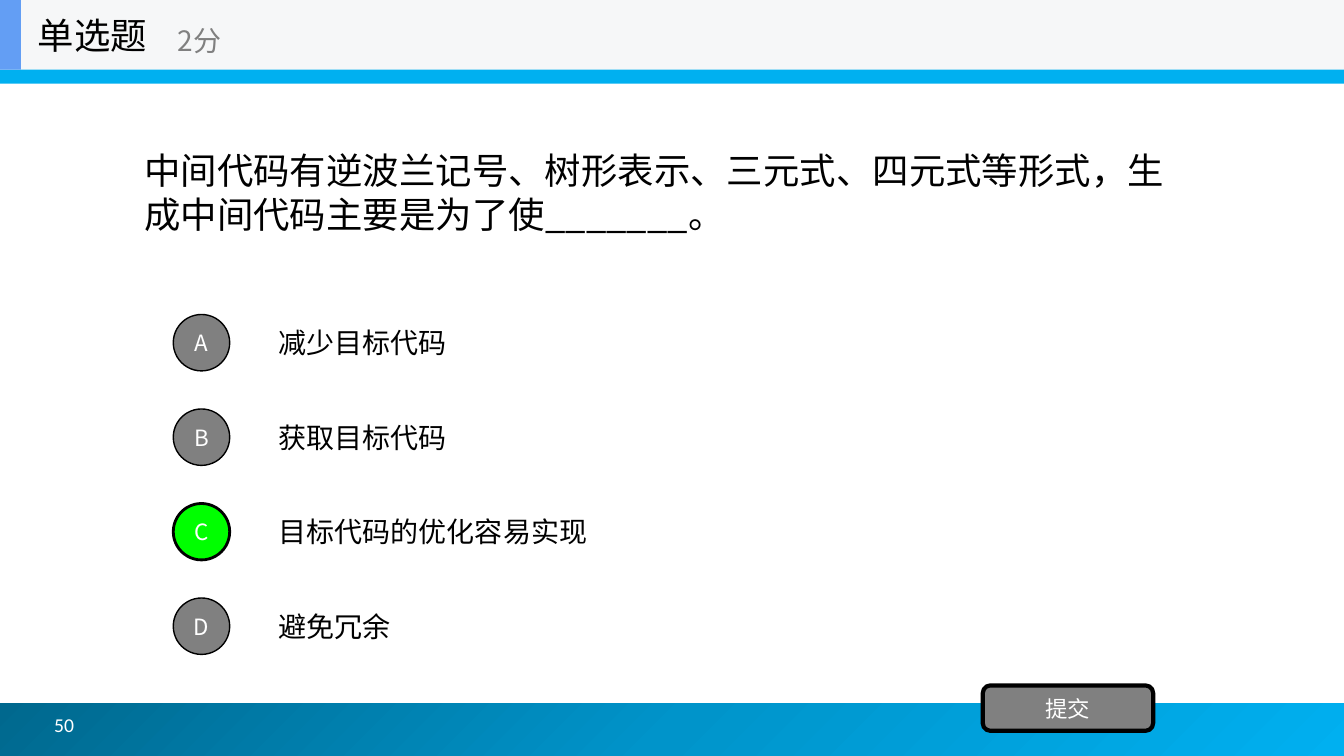
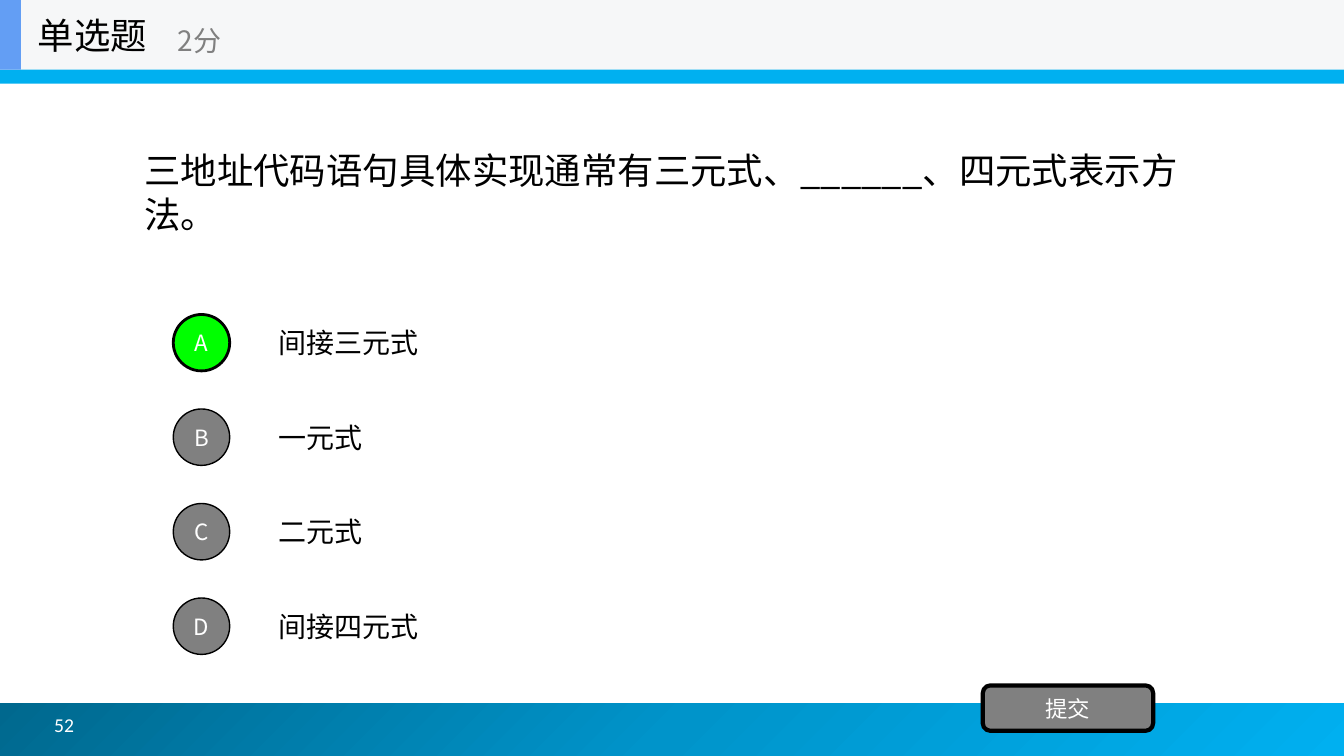
from collections import namedtuple
from copy import deepcopy
from dataclasses import dataclass

from pptx import Presentation
from pptx.dml.color import RGBColor
from pptx.enum.shapes import MSO_SHAPE
from pptx.enum.text import MSO_ANCHOR, PP_ALIGN
from pptx.oxml.ns import qn
from pptx.util import Pt

RECT, OVAL, ROUNDED = MSO_SHAPE.RECTANGLE, MSO_SHAPE.OVAL, MSO_SHAPE.ROUNDED_RECTANGLE
MIDDLE = MSO_ANCHOR.MIDDLE
LEFT, CENTER = PP_ALIGN.LEFT, PP_ALIGN.CENTER

Box = namedtuple("Box", "x y w h")


@dataclass(frozen=True)
class Theme:
    # Colours
    ink: str = "000000"
    white: str = "FFFFFF"
    grey: str = "808080"
    correct: str = "00FF00"
    header: str = "F6F7F8"
    accent: str = "639EF4"
    band: str = "00B0F0"
    footer: tuple = ((0, "00688E"), (0.5, "0094CA"), (1, "00B0F0"))
    # Fonts
    cjk: str = "Noto Sans CJK SC"
    option_font: str = "Arial"
    number_font: str = "Calibri"
    # Type sizes
    title: float = 26
    body: float = 20
    label: float = 16
    number: float = 14
    question_leading: float = 31.5


T = Theme()
SLIDE = Box(0, 0, 960, 540)
HEADER = Box(0, 0, 960, 49.7)
FOOTER = Box(0, 502.5, 960, 37.5)
QUESTION = Box(96, 52.7, 768, 168.5)
OPTIONS = Box(123.8, 219.6, 740.2, 252.9)
BUTTON = Box(702, 489.6, 121.7, 32.4)

QUESTIONS = [
    ("50", "中间代码有逆波兰记号、树形表示、三元式、四元式等形式，生成中间代码主要是为了使_______。",
     ["减少目标代码", "获取目标代码", "目标代码的优化容易实现", "避免冗余"], "C"),
    ("52", "三地址代码语句具体实现通常有三元式、______、四元式表示方法。",
     ["间接三元式", "一元式", "二元式", "间接四元式"], "A"),
]


def place(box):
    return [Pt(v) for v in box]


def write(sp, text, size, color, font=T.cjk, align=LEFT):
    """Fill a shape with one vertically centred paragraph."""
    tf = sp.text_frame
    tf.word_wrap = True
    tf.vertical_anchor = MIDDLE
    p = tf.paragraphs[0]
    p.text = text
    p.alignment = align
    p.font.size = Pt(size)
    p.font.color.rgb = RGBColor.from_string(color)
    p.font.name = font
    # East Asian typeface follows the Latin one
    latin = p._p.pPr.find(qn("a:defRPr")).find(qn("a:latin"))
    ea = latin.makeelement(qn("a:ea"), {"typeface": font})
    latin.addnext(ea)
    return p


def add_text(s, box, text, size, color, font=T.cjk):
    return write(s.shapes.add_textbox(*place(box)), text, size, color, font)


def add_shape(s, kind, box, fill=None, line=0):
    sp = s.shapes.add_shape(kind, *place(box))
    sp.shadow.inherit = False
    if fill:
        sp.fill.solid()
        sp.fill.fore_color.rgb = RGBColor.from_string(fill)
    if line:
        sp.line.color.rgb = RGBColor.from_string(T.ink)
        sp.line.width = Pt(line)
    else:
        sp.line.fill.background()
    return sp


def add_label(s, kind, box, text, fill, line):
    """Outlined shape with a centred white label."""
    sp = add_shape(s, kind, box, fill, line)
    tf = sp.text_frame
    tf.margin_left = tf.margin_right = tf.margin_top = tf.margin_bottom = 0
    write(sp, text, T.label, T.white, align=CENTER)


def add_footer(s, box, number):
    sp = add_shape(s, RECT, box)
    sp.fill.gradient()
    sp.fill.gradient_angle = 315
    # The default gradient has two stops; add a third
    first = sp.fill.gradient_stops[0]._gs
    first.addnext(deepcopy(first))
    for stop, (position, color) in zip(sp.fill.gradient_stops, T.footer):
        stop.position = position
        stop.color.rgb = RGBColor.from_string(color)
    add_text(s, Box(box.x + 31.7, box.y - 2.8, 208, 36), number,
             T.number, T.white, T.number_font)


def add_header(s, box):
    add_shape(s, RECT, Box(box.x, box.y + 1.5, box.w, box.h + 8.6), T.band)
    add_shape(s, RECT, box, T.header)
    add_shape(s, RECT, box._replace(w=15), T.accent)
    add_text(s, Box(box.x + 20, box.y, 150, box.h), "单选题", T.title, T.ink)
    add_text(s, Box(box.x + 120, box.y + 8.6, 180, 40.3), "2分", T.body, T.grey)


def add_options(s, box, options, answer):
    row_h, circle, text_x = 50.4, 40.3, 68.2
    pitch = (box.h - row_h) / (len(options) - 1)
    for i, (letter, text) in enumerate(zip("ABCD", options)):
        y = box.y + i * pitch
        add_text(s, Box(box.x + text_x, y, box.w - text_x, row_h), text,
                 T.body, T.ink, T.option_font)
        fill, line = (T.correct, 2) if letter == answer else (T.grey, 1)
        add_label(s, OVAL, Box(box.x, y + (row_h - circle) / 2, circle, circle),
                  letter, fill, line)


def add_question_slide(prs, number, question, options, answer):
    s = prs.slides.add_slide(prs.slide_layouts[6])
    add_footer(s, FOOTER, number)
    add_header(s, HEADER)
    p = add_text(s, QUESTION, question, T.title, T.ink)
    p.line_spacing = Pt(T.question_leading)
    add_options(s, OPTIONS, options, answer)
    add_label(s, ROUNDED, BUTTON, "提交", T.grey, 3)


def main():
    prs = Presentation()
    prs.slide_width, prs.slide_height = Pt(SLIDE.w), Pt(SLIDE.h)
    for question in QUESTIONS:
        add_question_slide(prs, *question)
    prs.save("out.pptx")


if __name__ == "__main__":
    main()
